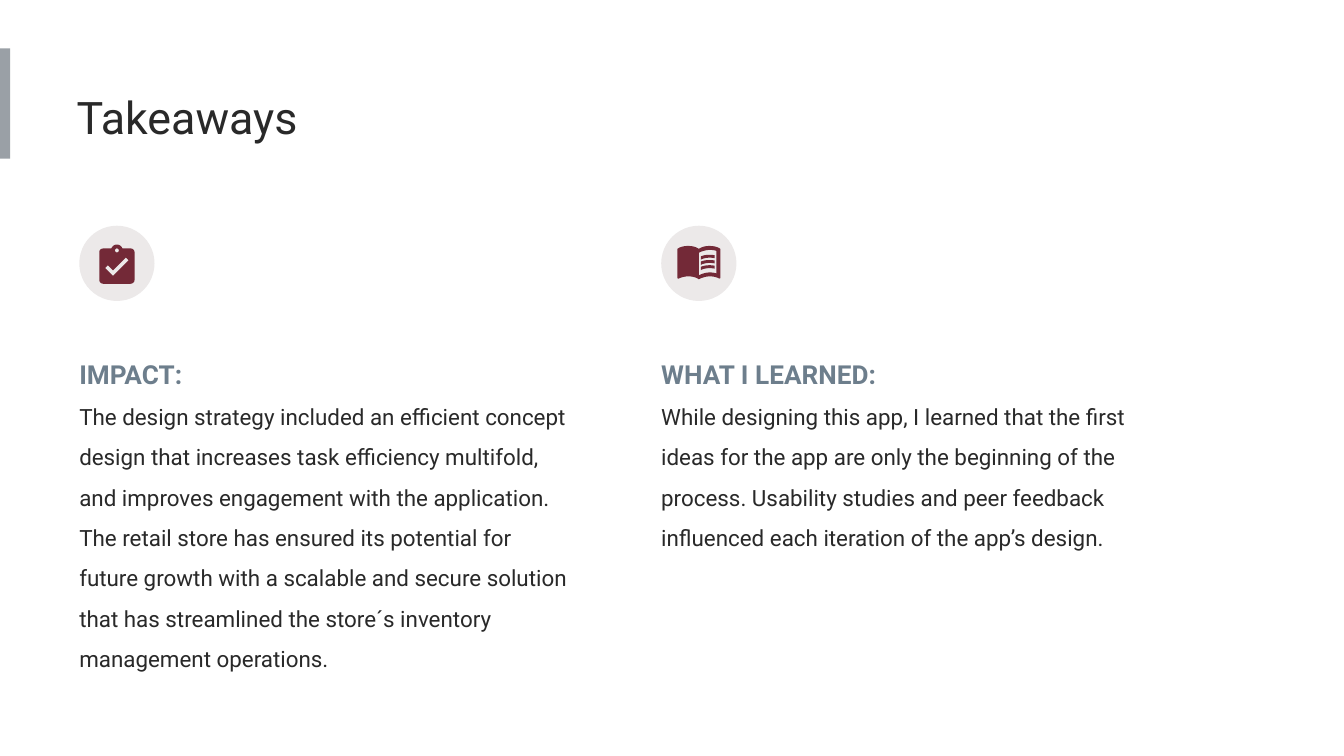
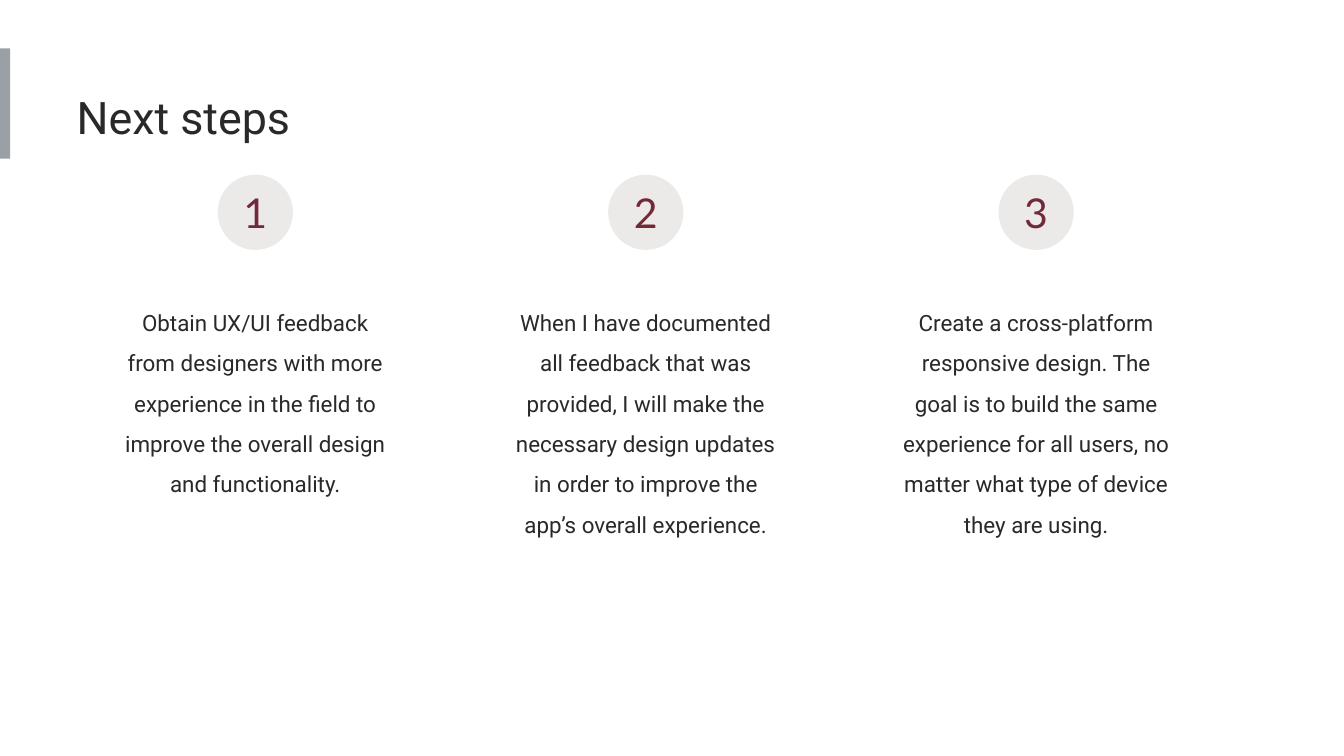
from pptx import Presentation
from pptx import util as u
from pptx.dml.color import RGBColor
from pptx.enum import shapes, text

PX = 4572  # EMU per px, 200 px to the inch
SLIDE_W, SLIDE_H = 2000, 1125
BADGE = 112
ICON, GRID = 70, 24  # icon side in px, and its units

INK, HEADING, MAROON, PALE, BAR = "292929", "6D7E8C", "732937", "ECE9E9", "9AA0A6"

TAKEAWAYS = [
    ("IMPACT:", 516, [
        "The design strategy included an efficient concept design that increases task "
        "efficiency multifold, and improves engagement with the application.",
        "The retail store has ensured its potential for future growth with a scalable and "
        "secure solution that has streamlined the store´s inventory management operations."]),
    ("WHAT I LEARNED:", 334, [
        "While designing this app, I learned that the first ideas for the app are only the "
        "beginning of the process. Usability studies and peer feedback influenced each "
        "iteration of the app’s design."]),
]
STEPS = [
    (324, "Obtain UX/UI feedback from designers with more experience in the field to improve "
          "the overall design and functionality."),
    (384, "When I have documented all feedback that was provided, I will make the necessary "
          "design updates in order to improve the app’s overall experience."),
    (384, "Create a cross-platform responsive design. The goal is to build the same experience "
          "for all users, no matter what type of device they are using."),
]

# Outlines in grid units: two numbers are a line's end, six are a Bezier curve
CLIPBOARD = [
    [(19, 3), (14.82, 3), (14.4, 1.84, 13.3, 1, 12, 1), (10.7, 1, 9.6, 1.84, 9.18, 3),
     (5, 3), (3.9, 3, 3, 3.9, 3, 5), (3, 19), (3, 20.1, 3.9, 21, 5, 21),
     (19, 21), (20.1, 21, 21, 20.1, 21, 19), (21, 5), (21, 3.9, 20.1, 3, 19, 3)],
    [(12, 3), (12.55, 3, 13, 3.45, 13, 4), (13, 4.55, 12.55, 5, 12, 5),
     (11.45, 5, 11, 4.55, 11, 4), (11, 3.45, 11.45, 3, 12, 3)],
    [(10, 17), (6, 13), (7.41, 11.59), (10, 14.17), (16.59, 7.58), (18, 9)],
]
BOOK = [
    [(21, 5), (19.89, 4.65, 18.67, 4.5, 17.5, 4.5), (15.55, 4.5, 13.45, 4.9, 12, 6),
     (10.55, 4.9, 8.45, 4.5, 6.5, 4.5), (4.55, 4.5, 2.45, 4.9, 1, 6),
     (1, 20.65), (1, 20.9, 1.25, 21.15, 1.5, 21.15), (1.75, 21.1),
     (3.1, 20.45, 5.05, 20, 6.5, 20), (8.45, 20, 10.55, 20.4, 12, 21.5),
     (13.35, 20.65, 15.8, 20, 17.5, 20), (19.15, 20, 20.85, 20.3, 22.25, 21.05),
     (22.5, 21.1), (22.75, 21.1, 23, 20.85, 23, 20.6), (23, 6),
     (22.4, 5.55, 21.75, 5.25, 21, 5)],
    [(21, 18.5), (19.9, 18.15, 18.7, 18, 17.5, 18), (15.8, 18, 13.35, 18.65, 12, 19.5),
     (12, 8), (13.35, 7.15, 15.8, 6.5, 17.5, 6.5), (18.7, 6.5, 19.9, 6.65, 21, 7)],
]
BOOK_LINE = [[(17.5, 10.5), (18.38, 10.5, 19.23, 10.59, 20, 10.76), (20, 9.24),
              (19.21, 9.09, 18.36, 9, 17.5, 9), (15.8, 9, 14.26, 9.29, 13, 9.83),
              (13, 11.49), (14.13, 10.85, 15.7, 10.5, 17.5, 10.5)]]
LINE_PITCH = 2.67


def rgb(color):
    return RGBColor.from_string(color)


def paint(shape, color):
    shape.shadow.inherit = False
    shape.fill.solid()
    shape.fill.fore_color.rgb = rgb(color)
    shape.line.fill.background()
    return shape


def add_block(slide, kind, box, color):
    return paint(slide.shapes.add_shape(kind, *(n * PX for n in box)), color)


def style(paragraph, size, color, font="Roboto", bold=False):
    paragraph.font.size = u.Pt(size)
    paragraph.font.name = font
    paragraph.font.bold = bold
    paragraph.font.color.rgb = rgb(color)


def add_text(slide, box, lines, inset=0, align=text.PP_ALIGN.LEFT, spacing=1.5):
    """Each line is (words, size, color, bold)."""
    frame = slide.shapes.add_textbox(*(n * PX for n in box)).text_frame
    frame.word_wrap = True
    frame.auto_size = text.MSO_AUTO_SIZE.SHAPE_TO_FIT_TEXT
    frame.margin_left = inset * PX
    frame.margin_right = frame.margin_top = frame.margin_bottom = 20 * PX
    for i, (words, size, color, bold) in enumerate(lines):
        paragraph = frame.paragraphs[0] if i == 0 else frame.add_paragraph()
        paragraph.text = words
        paragraph.alignment = align
        paragraph.line_spacing = spacing
        style(paragraph, size, color, bold=bold)


def flatten(outline):
    """Turn lines and curves into points, in hundredths of a grid unit."""
    points = [outline[0]]
    for step in outline[1:]:
        if len(step) == 2:
            points.append(step)
            continue
        controls = [points[-1], step[:2], step[2:4], step[4:]]
        for t in (i / 8 for i in range(1, 9)):
            weights = [(1 - t) ** 3, 3 * t * (1 - t) ** 2, 3 * t * t * (1 - t), t ** 3]
            points.append(tuple(sum(w * c[axis] for w, c in zip(weights, controls))
                                for axis in (0, 1)))
    return [(x * 100, y * 100) for x, y in points]


def add_icon(parts, left, top, outlines):
    first, *others = [flatten(outline) for outline in outlines]
    builder = parts.build_freeform(*first[0], scale=ICON * PX / (GRID * 100))
    builder.add_line_segments(first[1:])
    for points in others:
        builder.move_to(*points[0])
        builder.add_line_segments(points[1:])
    paint(builder.convert_to_shape(left * PX, round(top * PX)), MAROON)


def draw_clipboard(slide, left, top):
    add_icon(slide.shapes, left, top + 4, CLIPBOARD)


def draw_book(slide, left, top):
    parts = slide.shapes.add_group_shape().shapes
    add_icon(parts, left, top - 4, BOOK)
    for i in range(3):
        add_icon(parts, left, top - 4 + i * LINE_PITCH * ICON / GRID, BOOK_LINE)


def add_badge(slide, left, top):
    return add_block(slide, shapes.MSO_SHAPE.OVAL, (left, top, BADGE, BADGE), PALE)


def add_titled_slide(deck, title):
    slide = deck.slides.add_slide(deck.slide_layouts[6])
    add_block(slide, shapes.MSO_SHAPE.RECTANGLE, (0, 72, 15, 164), BAR)
    add_text(slide, (114, 114, 1078, 122), [(title, 24, INK, False)], spacing=1)
    return slide


def add_takeaway(slide, box, heading, paragraphs, draw_icon):
    left, top, width, height = box
    add_text(slide, (left, top + 154, width, height),
             [(heading, 14, HEADING, True)] + [(p, 12, INK, False) for p in paragraphs])
    add_badge(slide, left, top)
    margin = (BADGE - ICON) // 2
    draw_icon(slide, left + margin, top + margin)


def add_step(slide, box, number, words):
    left, top, width, height = box
    add_text(slide, (left, top + 160, width, height), [(words, 12, INK, False)],
             inset=20, align=text.PP_ALIGN.CENTER)
    # Numbered badge, centred over the words
    frame = add_badge(slide, left + (width - BADGE) // 2, top).text_frame
    frame.margin_left = frame.margin_right = frame.margin_top = frame.margin_bottom = 0
    frame.vertical_anchor = text.MSO_ANCHOR.MIDDLE
    paragraph = frame.paragraphs[0]
    paragraph.text = str(number)
    paragraph.alignment = text.PP_ALIGN.CENTER
    style(paragraph, 22, MAROON, font="Lato")


def main():
    deck = Presentation()
    deck.slide_width, deck.slide_height = SLIDE_W * PX, SLIDE_H * PX

    # Takeaways: two columns
    slide = add_titled_slide(deck, "Takeaways")
    for i, (takeaway, draw_icon) in enumerate(zip(TAKEAWAYS, (draw_clipboard, draw_book))):
        heading, height, paragraphs = takeaway
        add_takeaway(slide, (118 + i * 866, 336, 754, height), heading, paragraphs, draw_icon)

    # Next steps: three columns
    slide = add_titled_slide(deck, "Next steps")
    for i, (height, words) in enumerate(STEPS):
        add_step(slide, (156 + i * 581, 260, 448, height), i + 1, words)

    deck.save("out.pptx")


if __name__ == "__main__":
    main()
